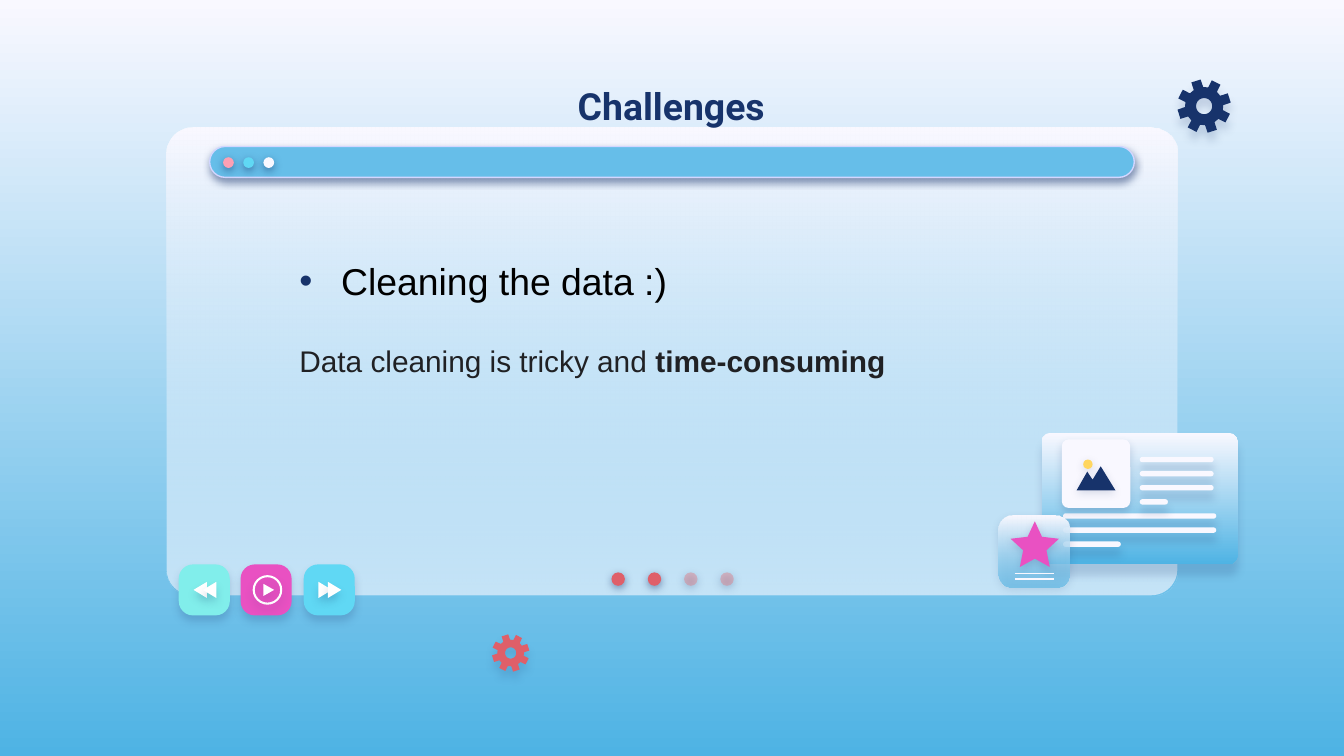
from dataclasses import dataclass
from math import cos, radians, sin

from pptx import Presentation
from pptx.dml.color import RGBColor
from pptx.enum.shapes import MSO_CONNECTOR, MSO_SHAPE
from pptx.enum.text import MSO_ANCHOR, MSO_AUTO_SIZE, PP_ALIGN
from pptx.oxml.ns import qn
from pptx.oxml.xmlchemy import OxmlElement
from pptx.util import Cm, Length, Pt

HUES = {
    "navy": "17336B", "pale": "F9F8FF", "sky": "4EB3E4", "blue": "66BEE9",
    "edge": "D2D6FF", "rose": "FDA0B4", "cyan": "60D8F4", "red": "DF5F69",
    "blush": "E27B83", "gold": "FFD65F", "pink": "E951C2", "mint": "81EEEB",
    "white": "FFFFFF", "black": "000000", "ink": "202124",
}


@dataclass
class Shade:
    alpha: int
    blur: float
    drop: float


@dataclass
class Piece:
    kind: MSO_SHAPE
    box: tuple[float, float, float, float]
    hues: tuple[str, ...]
    shade: Shade | None = None
    bend: float | None = None
    alpha: int = 100


@dataclass
class Gear:
    x: float
    y: float
    size: float
    hue: str
    shade: Shade


@dataclass
class Key:
    x: float
    hue: str


ROUND, OVAL, STAR = MSO_SHAPE.ROUNDED_RECTANGLE, MSO_SHAPE.OVAL, MSO_SHAPE.STAR_5_POINT
DEEP = Shade(50, 4.5, 1.5)
SOFT = Shade(21, 4.5, 4.5)
THIN = Shade(19, 4.5, 1.5)
FAINT = Shade(15, 4.5, 1.5)
BASE = Shade(19, 4.5, 3)
GRAIN = 1000


def inch(size: float) -> Length:
    return Cm(size * 2.54)


def tone(name: str) -> RGBColor:
    return RGBColor.from_string(HUES[name])


def fade(node, alpha: int) -> None:
    mark = OxmlElement("a:alpha")
    mark.set("val", str(alpha * 1000))
    node.append(mark)


def blend(fill, hues: tuple[str, ...]) -> None:
    fill.gradient()
    fill.gradient_angle = 270
    for stop, hue in zip(fill.gradient_stops, hues):
        stop.color.rgb = tone(hue)


def cast(spot, shade: Shade | None) -> None:
    spot.shadow.inherit = False
    if shade is None:
        return
    glow = OxmlElement("a:outerShdw")
    for name, size in (("blurRad", Pt(shade.blur)), ("dist", Pt(shade.drop)),
                       ("dir", 5400000), ("algn", "t"), ("rotWithShape", 0)):
        glow.set(name, str(size))
    dark = OxmlElement("a:srgbClr")
    dark.set("val", HUES["navy"])
    fade(dark, shade.alpha)
    glow.append(dark)
    spot._element.spPr.find(qn("a:effectLst")).append(glow)


def coat(spot, hues: tuple[str, ...], shade: Shade | None, alpha: int = 100) -> None:
    if len(hues) > 1:
        blend(spot.fill, hues)
    else:
        spot.fill.solid()
        spot.fill.fore_color.rgb = tone(hues[0])
    if alpha < 100:
        fade(list(spot._element.spPr.iter(qn("a:srgbClr")))[-1], alpha)
    spot.line.fill.background()
    cast(spot, shade)


def draw(page, piece: Piece):
    spot = page.shapes.add_shape(piece.kind, *map(inch, piece.box))
    if piece.bend is not None:
        spot.adjustments[0] = piece.bend
    coat(spot, piece.hues, piece.shade, piece.alpha)
    return spot


def trace(page, rings: list[list[tuple[float, float]]], hue: str, shade: Shade) -> None:
    first, *rest = [[(x * GRAIN, y * GRAIN) for x, y in ring] for ring in rings]
    pen = page.shapes.build_freeform(*first[0], scale=inch(1) / GRAIN)
    pen.add_line_segments(first[1:])
    for ring in rest:
        pen.move_to(*ring[0])
        pen.add_line_segments(ring[1:])
    coat(pen.convert_to_shape(), (hue,), shade)


def cog(page, gear: Gear) -> None:
    def spot(turn: float, far: float) -> tuple[float, float]:
        reach = gear.size * far
        return gear.x + reach * cos(radians(turn)), gear.y + reach * sin(radians(turn))

    rim = [spot(45 * tooth - 18 + turn, far) for tooth in range(8)
           for turn, far in ((-15, 0.71), (-10.5, 1), (10.5, 1), (15, 0.71))]
    hole = [spot(-10 * step, 0.3) for step in range(36)]
    trace(page, [rim, hole], gear.hue, gear.shade)


def arrow(page, x: float, y: float, wide: float, tall: float) -> None:
    trace(page, [[(x, y - tall / 2), (x + wide, y), (x, y + tall / 2)]], "white", BASE)


def rule(page, x: float, y: float, wide: float) -> None:
    line = page.shapes.add_connector(
        MSO_CONNECTOR.STRAIGHT, inch(x), inch(y), inch(x + wide), inch(y))
    line.line.color.rgb = tone("pale")
    line.line.width = Pt(0.75)
    line._element.spPr.append(OxmlElement("a:effectLst"))


def write(run, size: int, hue: str, face: str = "Arial", bold: bool = False) -> None:
    run.font.size, run.font.name, run.font.bold = Pt(size), face, bold
    run.font.color.rgb = tone(hue)


def frame(page) -> None:
    panel = (1.24, 0.95, 7.52, 3.48)
    draw(page, Piece(ROUND, panel, ("pale",), bend=0.056))
    draw(page, Piece(ROUND, panel, ("pale", "blue"), bend=0.056, alpha=35))
    strip = draw(page, Piece(ROUND, (1.56, 1.09, 6.88, 0.23), ("blue",), DEEP, 0.5))
    strip.line.color.rgb = tone("edge")
    strip.line.width = Pt(0.75)
    for step, hue in enumerate(("rose", "cyan", "pale")):
        draw(page, Piece(OVAL, (1.66 + 0.15 * step, 1.17, 0.08, 0.08), (hue,), DEEP))
    for step, (hue, alpha) in enumerate([("red", 100)] * 2 + [("blush", 44)] * 2):
        box = (4.55 + 0.27 * step, 4.26, 0.1, 0.1)
        draw(page, Piece(OVAL, box, (hue,), DEEP, alpha=alpha))
    cog(page, Gear(8.96, 0.79, 0.2, "navy", Shade(16, 4.5, 4.5)))
    cog(page, Gear(3.8, 4.86, 0.14, "red", Shade(15, 4.5, 3.8)))


def head(page) -> None:
    title = page.shapes.title
    page.shapes._spTree.append(title._element)
    title.left, title.top, title.width, title.height = map(inch, (1.44, 0.43, 7.11, 0.71))
    text = title.text_frame
    text.text = "Challenges"
    text.auto_size = MSO_AUTO_SIZE.NONE
    text.vertical_anchor = MSO_ANCHOR.MIDDLE
    text.paragraphs[0].alignment = PP_ALIGN.CENTER
    write(text.paragraphs[0].runs[0], 20, "navy", "Roboto", True)


def card(page) -> None:
    draw(page, Piece(ROUND, (7.75, 3.22, 1.46, 0.98), ("pale", "sky"), Shade(17, 4.5, 6), 0.07))
    for x, top, widths in ((7.91, 3.82, (1.14, 1.14, 0.43)),
                           (8.48, 3.4, (0.55, 0.55, 0.55, 0.21))):
        for row, wide in enumerate(widths):
            box = (x, top + 0.105 * row, wide, 0.04)
            draw(page, Piece(ROUND, box, ("pale",), SOFT, 0.5))
    draw(page, Piece(ROUND, (7.9, 3.27, 0.51, 0.51), ("pale",), Shade(18, 4.5, 2.2), 0.1))
    peaks = [(8.19, 3.47), (8.13, 3.57), (8.09, 3.51), (8.01, 3.65), (8.3, 3.65)]
    trace(page, [peaks], "navy", FAINT)
    draw(page, Piece(OVAL, (8.06, 3.42, 0.07, 0.07), ("gold",), FAINT))
    draw(page, Piece(ROUND, (7.43, 3.84, 0.53, 0.53), ("pale", "sky"), THIN, 0.2, 58))
    draw(page, Piece(STAR, (7.52, 3.88, 0.36, 0.34), ("pink",), THIN, 0.24))
    for y in (4.27, 4.31):
        rule(page, 7.55, y, 0.29)


def keys(page) -> None:
    back, play, skip = Key(1.33, "mint"), Key(1.79, "pink"), Key(2.26, "cyan")
    for key in (back, play, skip):
        draw(page, Piece(ROUND, (key.x, 4.2, 0.38, 0.38), (key.hue,), BASE, 0.28))
    draw(page, Piece(MSO_SHAPE.DONUT, (play.x + 0.09, 4.28, 0.22, 0.22), ("white",), BASE, 0.07))
    arrow(page, play.x + 0.17, 4.39, 0.08, 0.09)
    for step in (0, 0.07):
        arrow(page, back.x + 0.21 + step, 4.39, -0.1, 0.12)
        arrow(page, skip.x + 0.11 + step, 4.39, 0.1, 0.12)


def body(page) -> None:
    text = page.shapes.add_textbox(*map(inch, (1.96, 1.87, 5, 1.01))).text_frame
    text.word_wrap = True
    text.text = "Cleaning the data :)"
    top = text.paragraphs[0]
    write(top.runs[0], 20, "black")
    low = text.add_paragraph()
    low.space_before = Pt(21.5)
    for words, bold in (("Data cleaning is tricky and ", False), ("time-consuming", True)):
        run = low.add_run()
        run.text = words
        write(run, 16, "ink", bold=bold)
    for para, left, hang in ((top, 0.48, -0.31), (low, 0.17, 0)):
        para._p.get_or_add_pPr().set("marL", str(inch(left)))
        para._p.pPr.set("indent", str(inch(hang)))
    tint, face, dot = map(OxmlElement, ("a:buClr", "a:buFont", "a:buChar"))
    hue = OxmlElement("a:srgbClr")
    hue.set("val", HUES["navy"])
    tint.append(hue)
    face.set("typeface", "Arial")
    dot.set("char", "•")
    top._p.pPr.extend([tint, face, dot])


def main() -> None:
    deck = Presentation()
    deck.slide_width, deck.slide_height = Cm(25.4), Cm(14.29)
    page = deck.slides.add_slide(deck.slide_layouts[5])
    blend(page.background.fill, ("pale", "sky"))
    for part in (frame, head, card, keys, body):
        part(page)
    deck.save("out.pptx")


if __name__ == "__main__":
    main()
